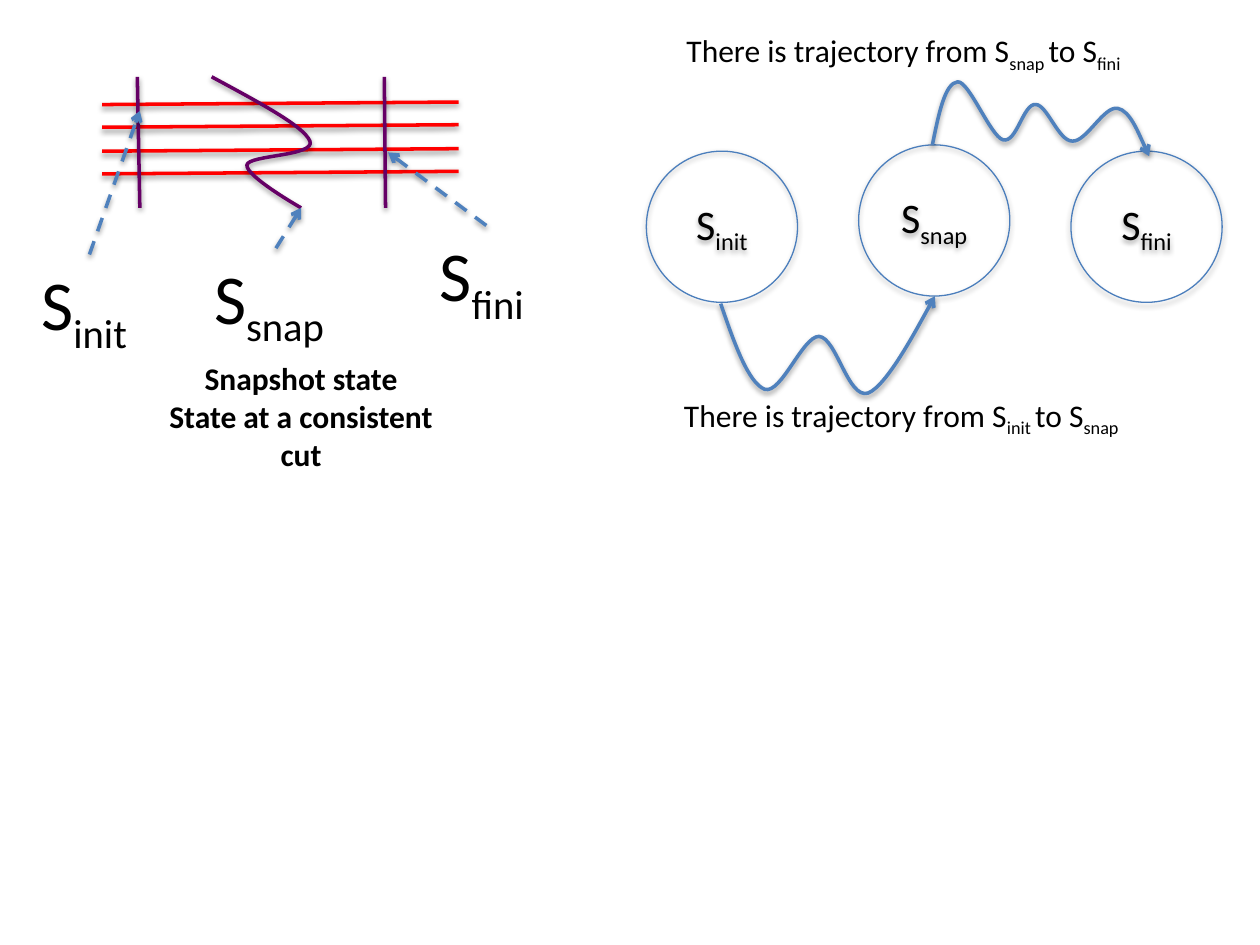
from dataclasses import dataclass

from lxml import etree
from pptx import Presentation
from pptx import util as u
from pptx.dml.color import RGBColor
from pptx.enum import dml, shapes, text
from pptx.oxml import ns


@dataclass(frozen=True)
class Theme:
    font: str = "Calibri"
    ink: str = "000000"
    process: str = "FF0000"
    cut: str = "660066"
    arrow: str = "4F81BD"
    outline: str = "4B7EBC"
    label_size: int = 40
    state_size: int = 24
    body_size: int = 18
    stroke: float = 2
    thin: float = 0.75


THEME = Theme()
COLUMNS, ROWS = 10, 7.5

PROCESS_ROWS = [0.83, 1.01, 1.2, 1.38]
PROCESS_SPAN = (0.81, 3.64)
CUT_COLUMNS = [(1.09, 1.11), (3.05, 3.06)]
CUT_SPAN = (0.61, 1.65)
CONSISTENT_CUT = [
    (1.68, 0.61), (2.05, 0.81), (2.41, 1), (2.46, 1.12),
    (2.51, 1.24), (1.97, 1.23), (1.96, 1.31),
    (1.95, 1.4), (2.39, 1.65), (2.39, 1.65),
]
CUT_LABELS = [
    ("S_init", (0.23, 2.02, 0.96, 0.77), (0.71, 2.02), (1.11, 0.88)),
    ("S_snap", (1.6, 1.97, 1.18, 0.77), (2.19, 1.97), (2.39, 1.65)),
    ("S_fini", (3.39, 1.79, 0.94, 0.77), (3.86, 1.79), (3.08, 1.21)),
]
CAPTION = ["Snapshot state", "State at a consistent", "cut"]
CAPTION_BOX = (1.16, 2.8, 2.46, 1.01)

STATES = [("S_init", 1.2), ("S_snap", 1.15), ("S_fini", 1.2)]
STATE_LEFT, STATE_PITCH, STATE_SIZE = 5.13, 1.685, 1.2
TRAJECTORIES = [
    [
        (5.72, 2.41), (5.83, 2.73), (5.94, 3.04), (6.07, 3.09),
        (6.2, 3.13), (6.37, 2.67), (6.5, 2.67),
        (6.64, 2.68), (6.73, 3.17), (6.89, 3.12),
        (7.04, 3.06), (7.42, 2.35), (7.42, 2.35),
    ],
    [
        (7.4, 1.15), (7.45, 0.9), (7.5, 0.66), (7.6, 0.65),
        (7.69, 0.64), (7.86, 1.08), (7.96, 1.11),
        (8.07, 1.14), (8.12, 0.82), (8.22, 0.83),
        (8.31, 0.83), (8.4, 1.12), (8.51, 1.12),
        (8.62, 1.13), (8.76, 0.84), (8.87, 0.86),
        (8.97, 0.88), (9.12, 1.24), (9.12, 1.24),
    ],
]
TRAJECTORY_NOTES = [
    ("There is trajectory from S_init _to S_snap", (5.33, 3.09, 3.78, 0.4)),
    ("There is trajectory from S_snap _to S_fini", (5.35, 0.2, 3.77, 0.4)),
]

presentation = Presentation()
presentation.slide_width = u.Inches(COLUMNS)
presentation.slide_height = u.Inches(ROWS)
slide = presentation.slides.add_slide(presentation.slide_layouts[6])


def cells(values):
    return [u.Inches(value) for value in values]


def add_child(parent, tag, **attributes):
    child = etree.SubElement(parent, ns.qn(tag))
    for name, value in attributes.items():
        child.set(name, str(value))
    return child


def style_line(shape, color, width=THEME.stroke, dashed=False, arrow=False, alpha=38):
    shape.line.color.rgb = RGBColor.from_string(color)
    shape.line.width = u.Pt(width)
    if dashed:
        shape.line.dash_style = dml.MSO_LINE.DASH
    properties = shape._element.spPr
    if arrow:
        add_child(properties.find(ns.qn("a:ln")), "a:tailEnd", type="arrow")
    effects = add_child(properties, "a:effectLst")
    shadow = add_child(effects, "a:outerShdw", blurRad=u.Pt(3.1), dist=u.Pt(1.6),
                       dir=90 * 60000, rotWithShape=0)
    shade = add_child(shadow, "a:srgbClr", val=THEME.ink)
    add_child(shade, "a:alpha", val=alpha * 1000)


def add_line(start, end, color, **style):
    line = slide.shapes.add_connector(
        shapes.MSO_CONNECTOR.STRAIGHT, *cells(start), *cells(end))
    style_line(line, color, **style)


def add_curve(points, color, **style):
    start, *others = [cells(point) for point in points]
    builder = slide.shapes.build_freeform(*start)
    builder.add_line_segments(others, close=False)
    curve = builder.convert_to_shape()
    outline = curve._element.find(".//" + ns.qn("a:path"))
    segments = outline.findall(ns.qn("a:lnTo"))
    for first in range(0, len(segments), 3):
        bezier = add_child(outline, "a:cubicBezTo")
        for segment in segments[first:first + 3]:
            bezier.append(segment[0])
            outline.remove(segment)
    curve.fill.background()
    style_line(curve, color, **style)


def write(shape, lines, size, bold=False, align=None):
    for index, line in enumerate(lines):
        frame = shape.text_frame
        paragraph = frame.add_paragraph() if index else frame.paragraphs[0]
        paragraph.alignment = align
        for part, words in enumerate(line.split("_")):
            run = paragraph.add_run()
            run.text = words
            run.font.name = THEME.font
            run.font.size = u.Pt(size)
            run.font.bold = bold
            run.font.color.rgb = RGBColor.from_string(THEME.ink)
            if part % 2:
                run._r.get_or_add_rPr().set("baseline", "-25000")


def add_text(lines, box, size, wrap=False, **style):
    shape = slide.shapes.add_textbox(*cells(box))
    shape.text_frame.word_wrap = wrap
    shape.text_frame.auto_size = text.MSO_AUTO_SIZE.SHAPE_TO_FIT_TEXT
    write(shape, lines, size, **style)


def add_state(name, left, top):
    state = slide.shapes.add_shape(
        shapes.MSO_SHAPE.OVAL, *cells((left, top, STATE_SIZE, STATE_SIZE)))
    state.fill.background()
    style_line(state, THEME.outline, width=THEME.thin, alpha=35)
    state.text_frame.vertical_anchor = text.MSO_ANCHOR.MIDDLE
    write(state, [name], THEME.state_size, align=text.PP_ALIGN.CENTER)


def main():
    left, right = PROCESS_SPAN
    for row in PROCESS_ROWS:
        add_line((left, row), (right, row - 0.02), THEME.process)
    add_curve(CONSISTENT_CUT, THEME.cut)
    top, bottom = CUT_SPAN
    for upper, lower in CUT_COLUMNS:
        add_line((upper, top), (lower, bottom), THEME.cut)
    for name, box, start, end in CUT_LABELS:
        add_text([name], box, THEME.label_size)
        add_line(start, end, THEME.arrow, dashed=True, arrow=True)
    add_text(CAPTION, CAPTION_BOX, THEME.body_size, wrap=True, bold=True,
             align=text.PP_ALIGN.CENTER)

    for index, (name, row) in enumerate(STATES):
        add_state(name, STATE_LEFT + index * STATE_PITCH, row)
    for points in TRAJECTORIES:
        add_curve(points, THEME.arrow, arrow=True)
    for note, box in TRAJECTORY_NOTES:
        add_text([note], box, THEME.body_size)

    presentation.save("out.pptx")


if __name__ == "__main__":
    main()
